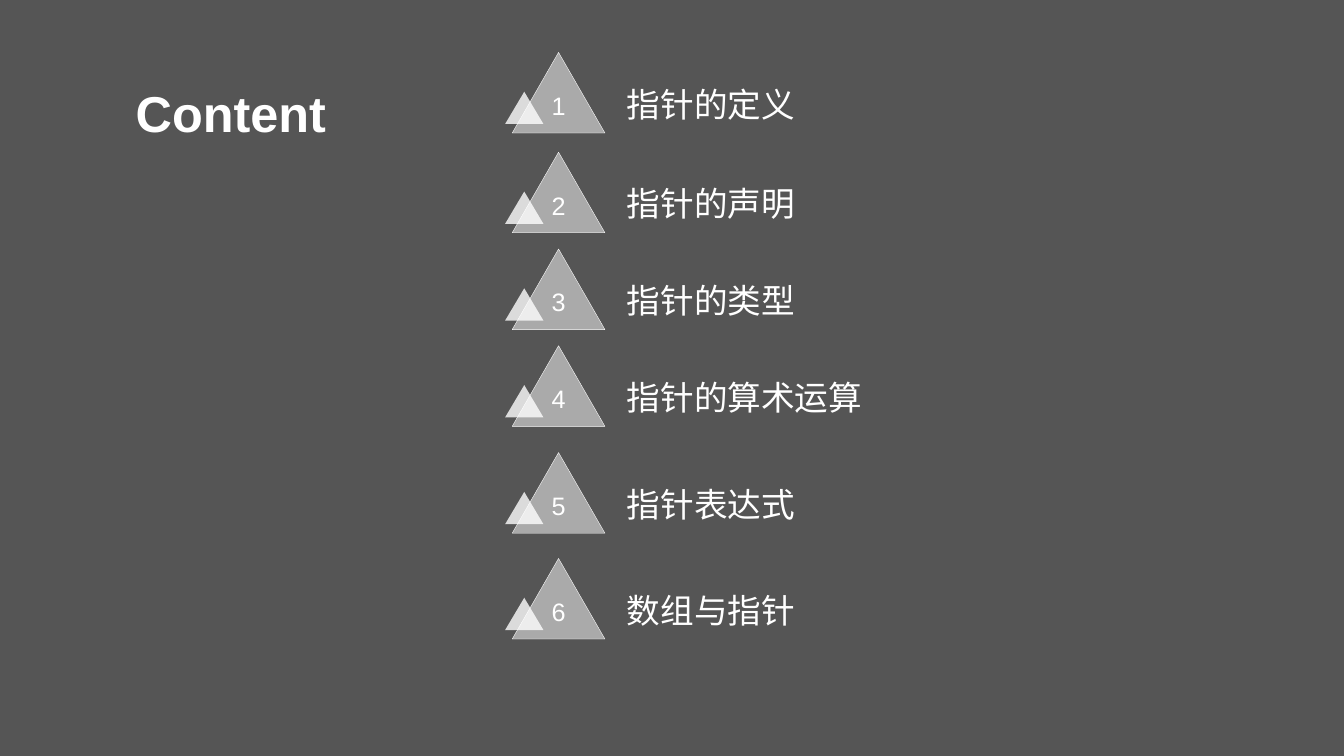
"""Build a contents slide with six numbered triangle entries."""
from dataclasses import dataclass

from lxml import etree
from pptx import Presentation
from pptx.dml.color import RGBColor
from pptx.enum.shapes import MSO_SHAPE
from pptx.enum.text import MSO_ANCHOR, PP_ALIGN
from pptx.oxml.ns import qn
from pptx.shapes.autoshape import Shape
from pptx.shapes.shapetree import GroupShapes
from pptx.slide import Slide
from pptx.text.text import TextFrame
from pptx.util import Inches, Pt

RECTANGLE = MSO_SHAPE.RECTANGLE
TRIANGLE = MSO_SHAPE.ISOSCELES_TRIANGLE
MIDDLE = MSO_ANCHOR.MIDDLE
LEFT = PP_ALIGN.LEFT
CENTER = PP_ALIGN.CENTER

FONT = "Arial"
WHITE = "FFFFFF"
NEAR_BLACK = "0D0D0D"
SLIDE_W, SLIDE_H = 13.33, 7.5


@dataclass(frozen=True)
class Entry:
    title: str
    top: float


ENTRIES = [
    Entry("指针的定义", 0.52),
    Entry("指针的声明", 1.51),
    Entry("指针的类型", 2.47),
    Entry("指针的算术运算", 3.43),
    Entry("指针表达式", 4.49),
    Entry("数组与指针", 5.54),
]


def rgb(value: str) -> RGBColor:
    return RGBColor.from_string(value)


def add_filled(shapes: GroupShapes, kind: MSO_SHAPE, x: float, y: float,
               w: float, h: float, color: str, opacity: int) -> Shape:
    s = shapes.add_shape(kind, Inches(x), Inches(y), Inches(w), Inches(h))
    s.shadow.inherit = False
    s.fill.solid()
    s.fill.fore_color.rgb = rgb(color)
    srgb = s.fill._xPr.find(qn("a:solidFill")).find(qn("a:srgbClr"))
    etree.SubElement(srgb, qn("a:alpha")).set("val", str(opacity * 1000))
    s.line.fill.background()
    return s


def write(tf: TextFrame, text: str, size: int, align: PP_ALIGN,
          bold: bool = False) -> None:
    tf.word_wrap = True
    p = tf.paragraphs[0]
    p.alignment = align
    r = p.add_run()
    r.text = text
    r.font.name = FONT
    r.font.size = Pt(size)
    r.font.bold = bold
    r.font.color.rgb = rgb(WHITE)


def add_entry(slide: Slide, number: int, entry: Entry) -> None:
    shapes = slide.shapes.add_group_shape().shapes
    badge = add_filled(shapes, TRIANGLE, 5.08, entry.top, 0.92, 0.8, WHITE, 50)
    badge.line.color.rgb = rgb(WHITE)
    badge.line.width = Pt(0.25)
    tf = badge.text_frame
    tf.vertical_anchor = MIDDLE
    tf.margin_bottom = Inches(0.2)
    write(tf, str(number), 18, CENTER)
    label = shapes.add_textbox(Inches(6.12), Inches(entry.top + 0.26),
                               Inches(3.86), Inches(0.5))
    write(label.text_frame, entry.title, 24, LEFT)
    add_filled(shapes, TRIANGLE, 5.01, entry.top + 0.39, 0.38, 0.32, WHITE, 79)


def main() -> None:
    prs = Presentation()
    prs.slide_width = Inches(SLIDE_W)
    prs.slide_height = Inches(SLIDE_H)
    slide = prs.slides.add_slide(prs.slide_layouts[6])
    slide.background.fill.solid()
    slide.background.fill.fore_color.rgb = rgb(WHITE)
    add_filled(slide.shapes, RECTANGLE, 0, 0, SLIDE_W, SLIDE_H, NEAR_BLACK, 70)
    heading = slide.shapes.add_textbox(Inches(0.98), Inches(0.77),
                                       Inches(2.62), Inches(0.71))
    write(heading.text_frame, "Content", 36, CENTER, bold=True)
    for number, entry in enumerate(ENTRIES, start=1):
        add_entry(slide, number, entry)
    prs.save("out.pptx")


if __name__ == "__main__":
    main()
